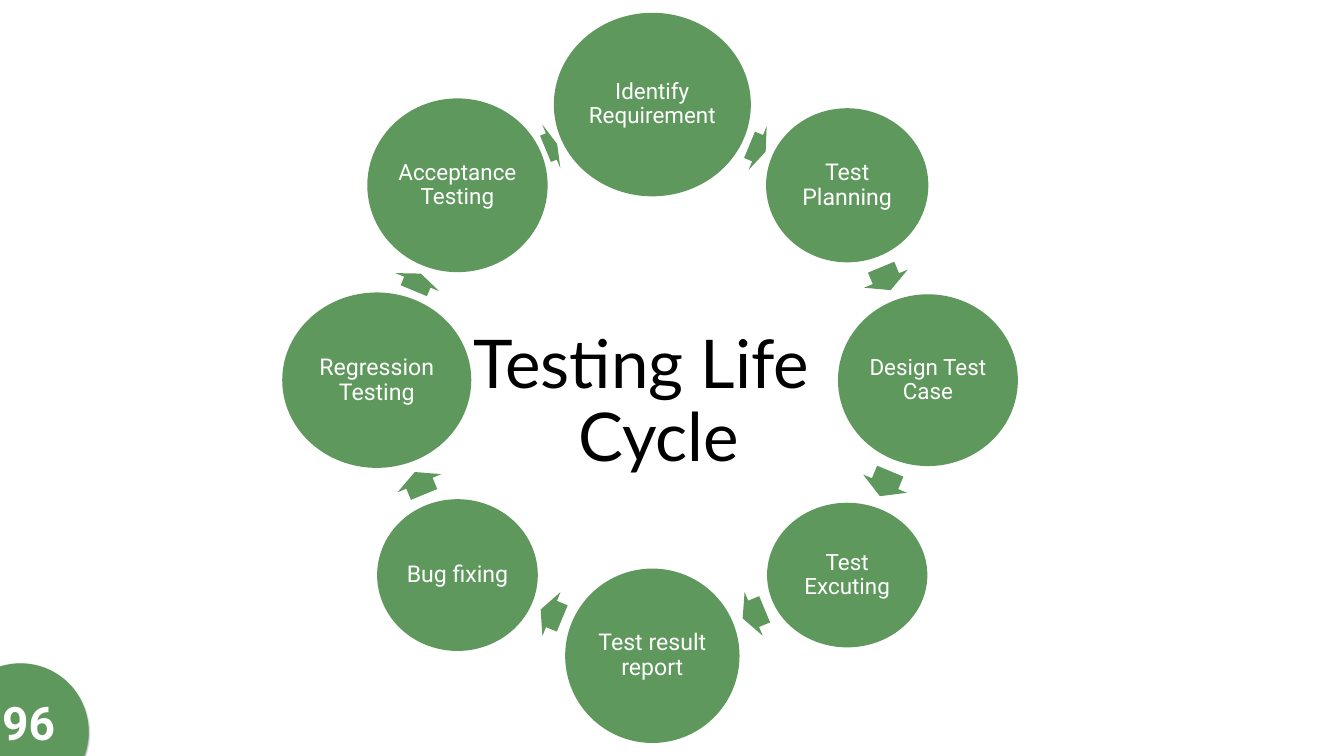
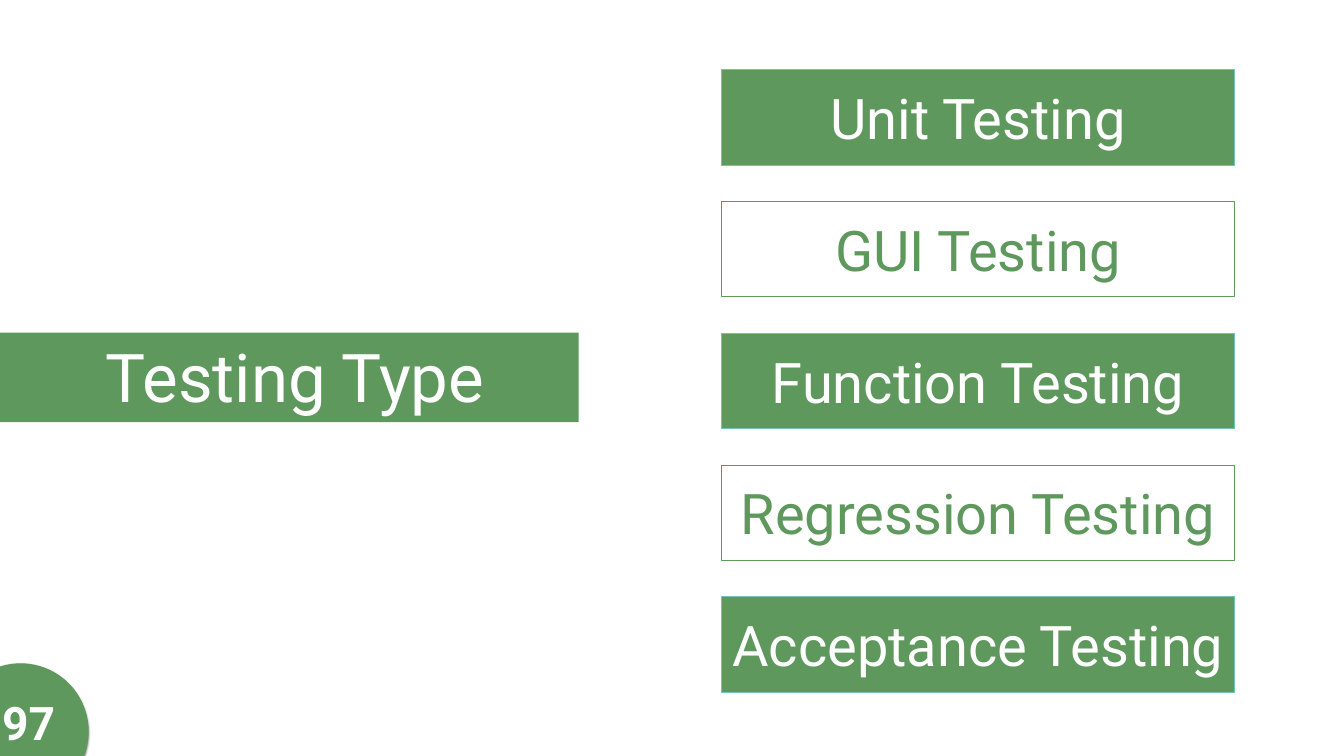
import math

from lxml import etree
from pptx import Presentation
from pptx.dml.color import RGBColor
from pptx.enum import shapes, text
from pptx.oxml.ns import qn
from pptx.util import Cm, Pt

# Content: label, width and height in cm, text size
STAGES = [
    ("Identify Requirement", 9.93, 9.25, 32),
    ("Test Planning", 8.18, 7.77, 33),
    ("Design Test Case", 9.07, 8.66, 32),
    ("Test Excuting", 8.08, 7.29, 32),
    ("Test result report", 8.79, 8.79, 33),
    ("Bug fixing", 8.1, 7.65, 33),
    ("Regression Testing", 9.53, 8.84, 33),
    ("Acceptance Testing", 9.09, 8.76, 32),
]
CYCLE_TITLE = ["Testing Life ", " Cycle"]
TYPE_TITLE = "Testing Type"
TEST_TYPES = ["Unit Testing", "GUI Testing", "Function Testing",
              "Regression Testing", "Acceptance Testing"]
PAGES = [96, 97]

# Shared style
GREEN, WHITE, BLACK, MINT = "5F985D", "FFFFFF", "000000", "72C4B6"
BODY_FONT, TITLE_FONT = "Roboto", "Lato"

# Ring and card layout in cm
RING_X, RING_Y, RING_R = 32.88, 19.16, 13.89
ARROW_HEIGHT, ARROW_SHARE = 2.39, 0.53
CARD_LEFT, CARD_TOP, CARD_W, CARD_H, CARD_GAP = 36.37, 3.51, 25.86, 4.8, 1.84


def rgb(color):
    return RGBColor.from_string(color)


def write(sp, lines, size, color, font=BODY_FONT, bold=False, spacing=None,
          anchor=text.MSO_ANCHOR.MIDDLE, inset=None, wrap=True):
    tf = sp.text_frame
    tf.word_wrap = wrap
    tf.vertical_anchor = anchor
    if inset is not None:
        tf.margin_left = tf.margin_right = Cm(inset)
        tf.margin_top = tf.margin_bottom = Cm(inset)
    for i, line in enumerate(lines):
        p = tf.add_paragraph() if i else tf.paragraphs[0]
        p.alignment = text.PP_ALIGN.CENTER
        if spacing:
            p.line_spacing = spacing
        r = p.add_run()
        r.text = line
        r.font.name, r.font.size, r.font.bold = font, Pt(size), bold
        r.font.color.rgb = rgb(color)


def add_shape(s, kind, left, top, width, height, fill=GREEN, line=None):
    sp = s.shapes.add_shape(kind, Cm(left), Cm(top), Cm(width), Cm(height))
    sp.shadow.inherit = False
    sp.fill.solid()
    sp.fill.fore_color.rgb = rgb(fill)
    if line:
        sp.line.color.rgb = rgb(line)
        sp.line.width = Pt(1)
    else:
        sp.line.fill.background()
    return sp


def add_text(s, left, top, width, height, lines, size, color, **style):
    sp = s.shapes.add_textbox(Cm(left), Cm(top), Cm(width), Cm(height))
    write(sp, lines, size, color, anchor=text.MSO_ANCHOR.TOP, **style)


def add_badge(s, number):
    sp = add_shape(s, shapes.MSO_SHAPE.OVAL, -2.39, 33.43, 6.86, 6.86)
    effects = sp._element.spPr.find(qn("a:effectLst"))
    shadow = etree.SubElement(effects, qn("a:outerShdw"), blurRad=str(Pt(3)),
                              dist=str(Pt(2)), dir="5400000", rotWithShape="0")
    color = etree.SubElement(shadow, qn("a:srgbClr"), val=BLACK)
    etree.SubElement(color, qn("a:alpha"), val="50000")
    add_text(s, -0.15, 34.85, 3.2, 3.07, [str(number)], 66, WHITE,
             bold=True, wrap=False)


def ring_point(i):
    angle = math.radians(360 / len(STAGES) * i - 90)
    return RING_X + RING_R * math.cos(angle), RING_Y + RING_R * math.sin(angle)


def reach(width, height, angle):
    """Distance from an ellipse's centre to its edge along an angle."""
    return 1 / math.hypot(2 * math.cos(angle) / width,
                          2 * math.sin(angle) / height)


def build_cycle(s):
    add_text(s, 15.75, 16.54, 34.04, 4.01, CYCLE_TITLE, 96, BLACK,
             font=TITLE_FONT, spacing=0.9)
    for i, (label, w, h, size) in enumerate(STAGES):
        # Stage bubble
        x, y = ring_point(i)
        bubble = add_shape(s, shapes.MSO_SHAPE.OVAL, x - w / 2, y - h / 2, w, h)
        write(bubble, [label], size, WHITE, spacing=0.9, inset=0.11)

        # Arrow centred in the gap before the next bubble
        next_x, next_y = ring_point(i + 1)
        _, next_w, next_h, _ = STAGES[(i + 1) % len(STAGES)]
        angle = math.atan2(next_y - y, next_x - x)
        start = reach(w, h, angle)
        gap = (math.hypot(next_x - x, next_y - y) - start
               - reach(next_w, next_h, angle))
        mid = start + gap / 2
        length = gap * ARROW_SHARE
        arrow = add_shape(s, shapes.MSO_SHAPE.RIGHT_ARROW,
                          x + mid * math.cos(angle) - length / 2,
                          y + mid * math.sin(angle) - ARROW_HEIGHT / 2,
                          length, ARROW_HEIGHT)
        arrow.adjustments[0], arrow.adjustments[1] = 0.6, 0.5
        arrow.rotation = math.degrees(angle) % 360


def build_types(s):
    # Title band
    add_shape(s, shapes.MSO_SHAPE.RECTANGLE, -5.05, 16.76, 34.21, 4.52)
    add_text(s, -1.8, 16.76, 33.35, 4.37, [TYPE_TITLE], 96, WHITE)

    # Cards alternate between filled and outlined
    for i, label in enumerate(TEST_TYPES):
        fill, line, color = ((WHITE, GREEN, GREEN) if i % 2
                             else (GREEN, MINT, WHITE))
        card = add_shape(s, shapes.MSO_SHAPE.RECTANGLE, CARD_LEFT,
                         CARD_TOP + i * (CARD_H + CARD_GAP), CARD_W, CARD_H,
                         fill, line)
        write(card, [label], 80, color)


def main():
    prs = Presentation()
    prs.slide_width, prs.slide_height = Cm(67.74), Cm(38.1)
    for build, page in zip((build_cycle, build_types), PAGES):
        s = prs.slides.add_slide(prs.slide_layouts[6])
        s.background.fill.solid()
        s.background.fill.fore_color.rgb = rgb(WHITE)
        build(s)
        add_badge(s, page)
    prs.save("out.pptx")


if __name__ == "__main__":
    main()
